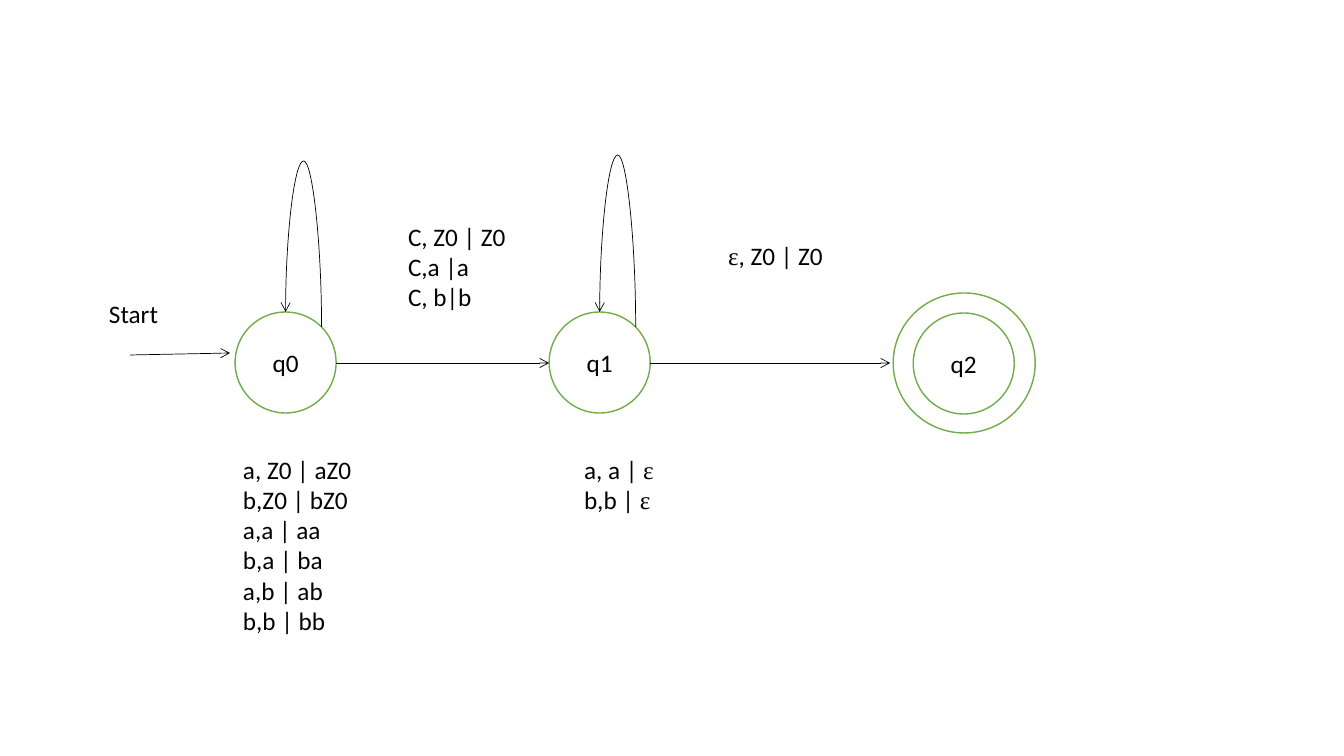
"""Build a slide with the state diagram of a pushdown automaton."""
from itertools import groupby

from lxml import etree
from pptx import Presentation
from pptx import util as u
from pptx.dml.color import RGBColor
from pptx.enum import shapes, text
from pptx.oxml import ns

COLORS = {"ink": "000000", "ring": "70AD47", "paper": "FFFFFF"}
FONTS = {"body": "Calibri", "greek": "Times New Roman"}
SCALE = u.Inches(1) / 100.8
DIAMETER = 101
LOOP_RISE, LOOP_RUN = 15, 36

STATES = {"q0": (235, 312), "q1": (549, 312), "q2": (913, 313)}
FINAL_RING = (893, 293, 142, 140)
ARROWS = [
    (336, 363, 549, 363),
    (650, 363, 890, 363),
    (130, 355, 230, 353),
]
LOOP_PEAKS = {"q0": 161, "q1": 155}
LABELS = [
    ((233, 449, 158, 194), ["a, Z0 | aZ0", "b,Z0 | bZ0", "a,a | aa",
                            "b,a | ba", "a,b | ab", "b,b | bb"]),
    ((398, 216, 118, 102), ["C, Z0 | Z0", "C,a |a", "C, b|b"]),
    ((574, 449, 90, 72), ["a, a | ε", "b,b | ε"]),
    ((718, 235, 131, 40), ["ε, Z0 | Z0"]),
    ((99, 293, 131, 40), ["Start"]),
]


def emu(*pixels):
    return [u.Emu(round(pixel * SCALE)) for pixel in pixels]


def color(name):
    return RGBColor.from_string(COLORS[name])


def write(shape, lines, size=18, align=text.PP_ALIGN.LEFT,
          anchor=text.MSO_ANCHOR.TOP, ink="ink"):
    frame = shape.text_frame
    frame.word_wrap = True
    frame.vertical_anchor = anchor
    for index, line in enumerate(lines):
        para = frame.add_paragraph() if index else frame.paragraphs[0]
        para.alignment = align
        for greek, letters in groupby(line, lambda letter: letter == "ε"):
            span = para.add_run()
            span.text = "".join(letters)
            span.font.name = FONTS["greek" if greek else "body"]
            span.font.size = u.Pt(size)
            span.font.color.rgb = color(ink)


def add_ring(page, place):
    ring = page.shapes.add_shape(shapes.MSO_SHAPE.OVAL, *emu(*place))
    ring.shadow.inherit = False
    ring.fill.solid()
    ring.fill.fore_color.rgb = color("paper")
    ring.line.color.rgb = color("ring")
    ring.line.width = u.Pt(1)
    return ring


def add_arrow(page, ends, kind=shapes.MSO_CONNECTOR.STRAIGHT):
    arrow = page.shapes.add_connector(kind, *emu(*ends))
    arrow.line.color.rgb = color("ink")
    arrow.line.width = u.Pt(0.5)
    etree.SubElement(arrow.line._get_or_add_ln(), ns.qn("a:tailEnd"), type="arrow")
    etree.SubElement(arrow._element.spPr, ns.qn("a:effectLst"))
    return arrow


def add_loop(page, state, peak):
    left, top = STATES[state]
    middle_x = left + DIAMETER / 2 + LOOP_RUN / 2
    middle_y = top + LOOP_RISE / 2
    half_width, half_height = LOOP_RISE / 2, LOOP_RUN / 2
    ends = (middle_x - half_width, middle_y + half_height,
            middle_x + half_width, middle_y - half_height)
    loop = add_arrow(page, ends, shapes.MSO_CONNECTOR.CURVE)
    properties = loop._element.spPr
    properties.find(ns.qn("a:xfrm")).set("rot", str(270 * 60000))
    geometry = properties.find(ns.qn("a:prstGeom"))
    guides = geometry.find(ns.qn("a:avLst"))
    if guides is None:
        guides = etree.SubElement(geometry, ns.qn("a:avLst"))
    bend = round((top + LOOP_RISE - peak) / LOOP_RISE * 100000)
    etree.SubElement(guides, ns.qn("a:gd"), name="adj1", fmla=f"val {bend}")


deck = Presentation()
deck.slide_width, deck.slide_height = u.Inches(13.33), u.Inches(7.5)
page = deck.slides.add_slide(deck.slide_layouts[6])

add_ring(page, FINAL_RING)
for state, corner in STATES.items():
    write(add_ring(page, (*corner, DIAMETER, DIAMETER)), [state],
          align=text.PP_ALIGN.CENTER, anchor=text.MSO_ANCHOR.MIDDLE)
for ends in ARROWS:
    add_arrow(page, ends)
for state, peak in LOOP_PEAKS.items():
    add_loop(page, state, peak)
for place, lines in LABELS:
    write(page.shapes.add_textbox(*emu(*place)), lines)

deck.save("out.pptx")
